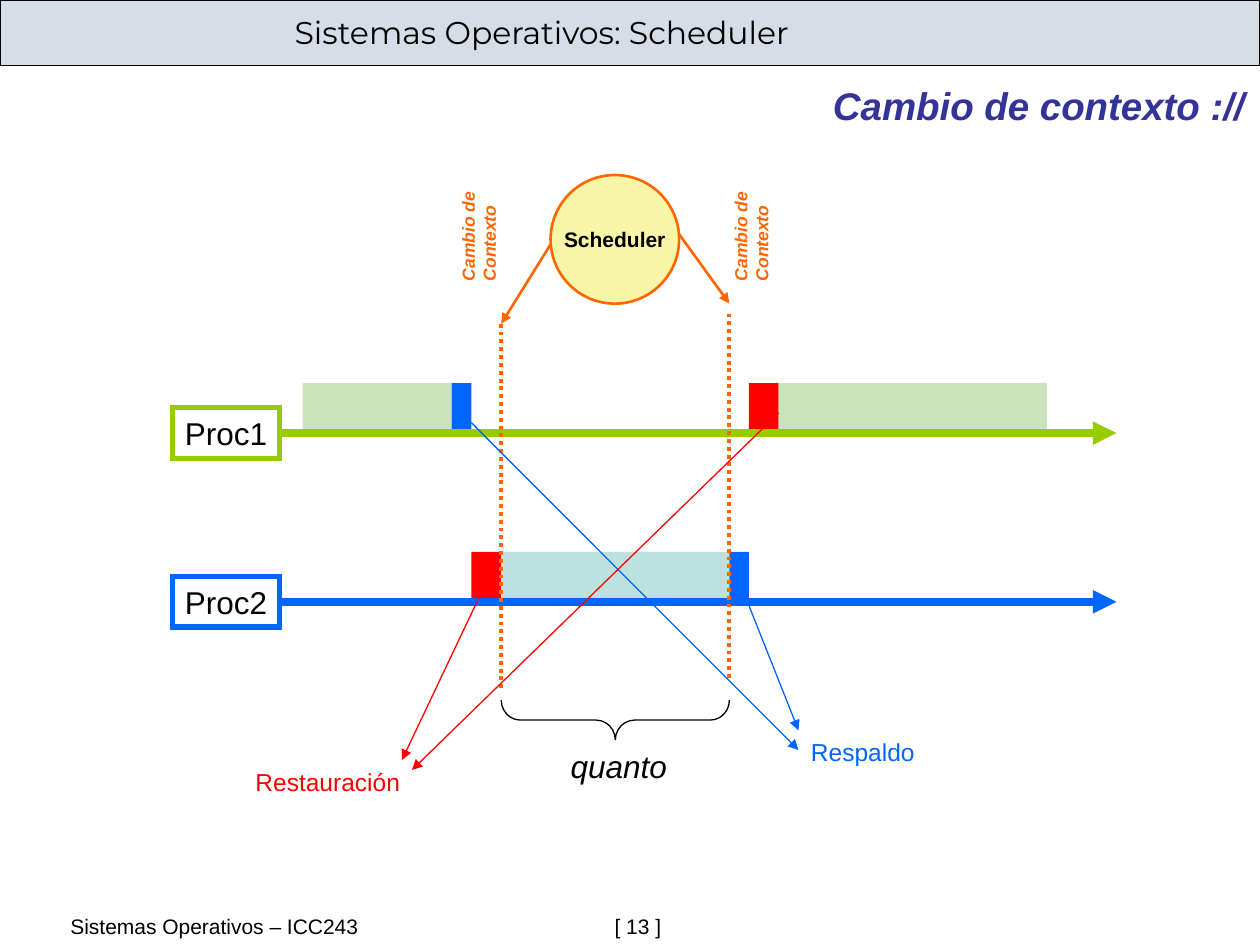
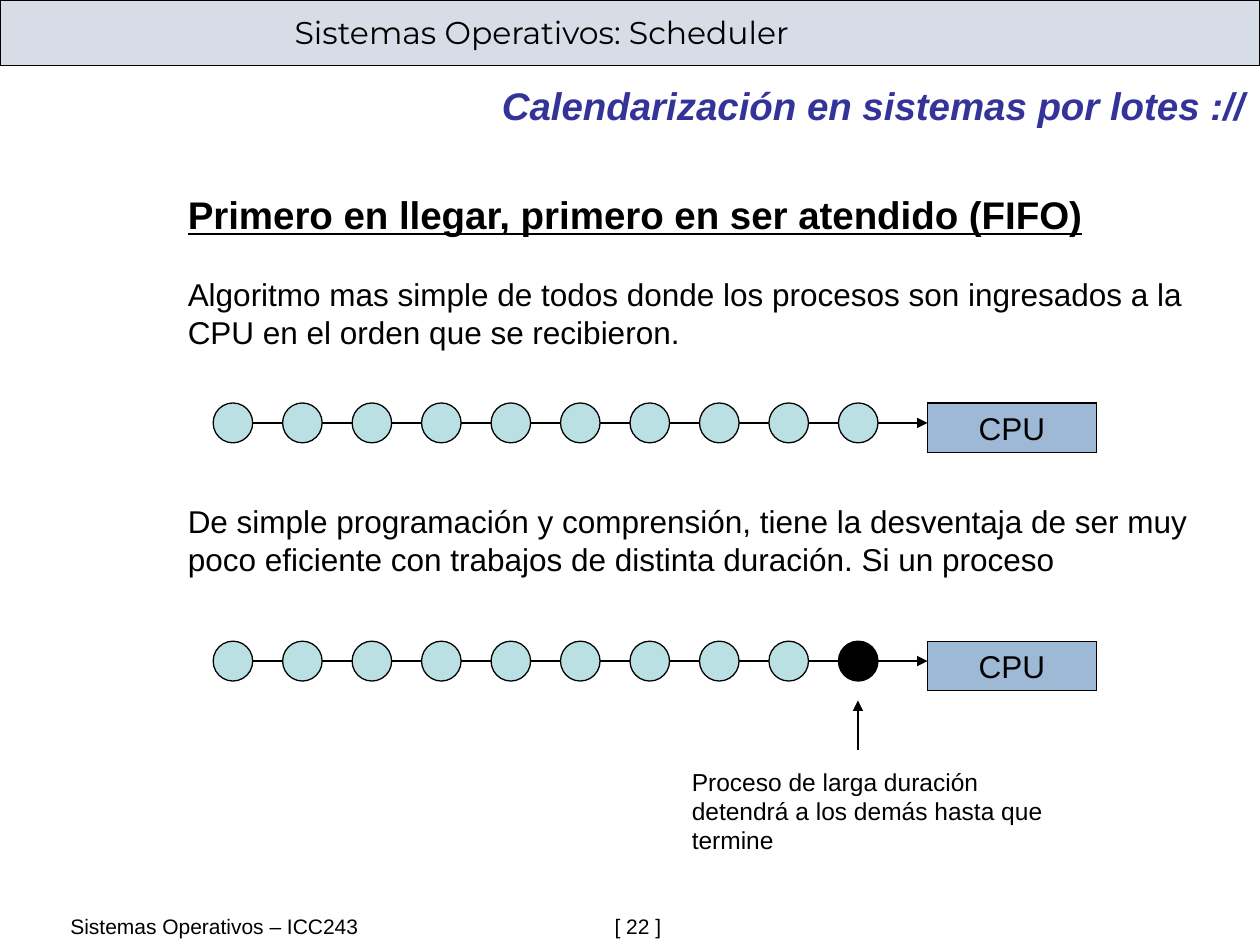
from lxml import etree
from pptx import Presentation
from pptx.dml.color import RGBColor
from pptx.enum.dml import MSO_LINE
from pptx.enum.shapes import MSO_CONNECTOR, MSO_SHAPE
from pptx.enum.text import MSO_ANCHOR, PP_ALIGN
from pptx.oxml.ns import qn
from pptx.util import Pt

RECT, OVAL, BRACE = MSO_SHAPE.RECTANGLE, MSO_SHAPE.OVAL, MSO_SHAPE.RIGHT_BRACE
STRAIGHT = MSO_CONNECTOR.STRAIGHT
DOTS = MSO_LINE.ROUND_DOT
TOP, MIDDLE = MSO_ANCHOR.TOP, MSO_ANCHOR.MIDDLE
LEFT, CENTER, RIGHT = PP_ALIGN.LEFT, PP_ALIGN.CENTER, PP_ALIGN.RIGHT

COLORS = {
    "black": "000000",
    "band": "D7DDE7",
    "title": "333399",
    "blue": "0066FF",
    "red": "FF0000",
    "green": "99CC00",
    "orange": "FF6600",
    "pale": "CBE3BB",
    "teal": "BDE1DF",
    "cream": "F8F6A6",
    "job": "BBE0E3",
    "cpu": "9EB9D6",
}


def color(name):
    return RGBColor.from_string(COLORS[name])


def write(shape, words, size=18, ink="black", font="Arial", bold=False, italic=False,
          under=False, align=LEFT, anchor=TOP, wrap=True, before=0, tab=None):
    frame = shape.text_frame
    frame.word_wrap = wrap
    frame.vertical_anchor = anchor
    for line in words.split("\n"):
        para = frame.paragraphs[0]
        if para.runs:
            para = frame.add_paragraph()
        para.alignment = align
        if before:
            para.space_before = Pt(before)
        if tab:
            stops = etree.SubElement(para._p.get_or_add_pPr(), qn("a:tabLst"))
            etree.SubElement(stops, qn("a:tab"), pos=str(Pt(tab)), algn="l")
        run = para.add_run()
        run.text = line
        run.font.name = font
        run.font.size = Pt(size)
        run.font.bold = bold
        run.font.italic = italic
        run.font.underline = under
        run.font.color.rgb = color(ink)


def add_text(slide, words, x, y, w, h, turn=0, **style):
    box = slide.shapes.add_textbox(Pt(x), Pt(y), Pt(w), Pt(h))
    box.rotation = turn
    write(box, words, **style)
    return box


def add_shape(slide, kind, x, y, w, h, fill=None, line=None, width=0.75):
    shape = slide.shapes.add_shape(kind, Pt(x), Pt(y), Pt(w), Pt(h))
    shape.shadow.inherit = False
    if fill:
        shape.fill.solid()
        shape.fill.fore_color.rgb = color(fill)
    else:
        shape.fill.background()
    if line:
        shape.line.color.rgb = color(line)
        shape.line.width = Pt(width)
        etree.SubElement(shape.element.spPr.find(qn("a:ln")), qn("a:miter"), lim="800000")
    else:
        shape.line.fill.background()
    return shape


def add_line(slide, x1, y1, x2, y2, ink="black", width=0.75, dash=None, arrow=True):
    wire = slide.shapes.add_connector(STRAIGHT, Pt(x1), Pt(y1), Pt(x2), Pt(y2))
    wire.line.color.rgb = color(ink)
    wire.line.width = Pt(width)
    if dash:
        wire.line.dash_style = dash
    props = wire.element.spPr
    if arrow:
        etree.SubElement(props.find(qn("a:ln")), qn("a:tailEnd"), type="triangle")
    etree.SubElement(props, qn("a:effectLst"))
    return wire


def add_page(deck, title, number):
    slide = deck.slides.add_slide(deck.slide_layouts[6])
    add_shape(slide, RECT, 0, 0, 720, 37.5, "band", "black")
    add_text(slide, "Sistemas Operativos: Scheduler", 161.3, 3.6, 556, 29,
             font="Montserrat")
    add_text(slide, title, 105, 43.2, 613.5, 34, size=22, ink="title",
             bold=True, italic=True, align=RIGHT)
    add_text(slide, f"Sistemas Operativos – ICC243\t[ {number} ]", 33.1, 518.4, 660, 21.6,
             size=12, tab=311)
    return slide


def add_lane(slide, name, ink, top, blocks):
    for start, end, fill in blocks:
        add_shape(slide, RECT, start, top, end - start, 28, fill)
    axis = top + 28.5
    label = add_shape(slide, RECT, 98.6, axis - 14.5, 61.2, 29, line=ink, width=3)
    write(label, name, wrap=False)
    wire = add_line(slide, 161.3, axis, 638, axis, ink, 4.5)
    wire.begin_connect(label, 3)


def add_queue(slide, top, last):
    axis = top + 11.4
    add_line(slide, 133, axis, 530, axis)
    for step in range(10):
        fill = last if step == 9 else "job"
        add_shape(slide, OVAL, 121.8 + 39.7 * step, top, 22.6, 22.8, fill, "black")
    cpu = add_shape(slide, RECT, 530, top, 96.5, 28.2, "cpu", "black")
    write(cpu, "CPU", align=CENTER, anchor=MIDDLE, wrap=False)


def add_switch(deck):
    slide = add_page(deck, "Cambio de contexto ://", 13)
    add_lane(slide, "Proc1", "green", 219, [
        (173, 258, "pale"), (258, 269.3, "blue"), (428, 445, "red"), (445, 598.3, "pale")])
    add_lane(slide, "Proc2", "blue", 315.4, [
        (269.3, 286.4, "red"), (286.4, 416.8, "teal"), (416.8, 428, "blue")])

    for x, top in ((286.4, 185), (416.8, 179.2)):
        add_line(slide, x, top, x, top + 209.3, "orange", 2.25, DOTS, arrow=False)
    add_line(slide, 314.6, 139.7, 286.4, 185, "orange", 1.5)
    add_line(slide, 388.1, 133.9, 416.8, 173.5, "orange", 1.5)
    clock = add_shape(slide, OVAL, 314.6, 100, 73.5, 73.5, "cream", "orange", 1.5)
    write(clock, "Scheduler", size=12, bold=True, align=CENTER, anchor=MIDDLE, wrap=False)
    for x in (239.8, 395.5):
        add_text(slide, "Cambio de\nContexto", x, 118, 67.7, 31.7, turn=270,
                 size=10, ink="orange", bold=True, italic=True, wrap=False)

    add_line(slide, 269.3, 241.5, 456.3, 428.6, "blue")
    add_line(slide, 422.6, 332.5, 456.3, 417.4, "blue")
    add_line(slide, 280.6, 327, 229.7, 434.3, "red")
    add_line(slide, 445, 236, 235.4, 440, "red")
    add_text(slide, "Respaldo", 456.3, 417.4, 84, 24.5, size=14, ink="blue")
    add_text(slide, "Restauración", 138.9, 434.5, 108, 24.5, size=14, ink="red")

    brace = add_shape(slide, BRACE, 340.2, 346.3, 22.8, 130.4, line="black")
    brace.rotation = 90
    brace.adjustments[0] = 0.48
    add_text(slide, "quanto", 319, 423.4, 80, 28.8, italic=True)


def add_batch(deck):
    slide = add_page(deck, "Calendarización en sistemas por lotes ://", 22)
    body = add_text(slide, "Primero en llegar, primero en ser atendido (FIFO)",
                    100.2, 105.8, 619.8, 228.2, size=22, bold=True, under=True)
    write(body, "Algoritmo mas simple de todos donde los procesos son ingresados a la "
          "CPU en el orden que se recibieron.", before=21.5)
    write(body, "De simple programación y comprensión, tiene la desventaja de ser muy "
          "poco eficiente con trabajos de distinta duración. Si un proceso", before=86.5)
    add_queue(slide, 230.3, "job")
    add_queue(slide, 366.4, "black")
    add_text(slide, "Proceso de larga duración detendrá a los demás hasta que termine",
             388.2, 434.5, 217.4, 57.6, size=14)
    add_line(slide, 490.3, 428.4, 490.3, 400.3, width=1.5)


def main():
    deck = Presentation()
    deck.slide_width, deck.slide_height = Pt(720), Pt(540)
    add_switch(deck)
    add_batch(deck)
    deck.save("out.pptx")


if __name__ == "__main__":
    main()
